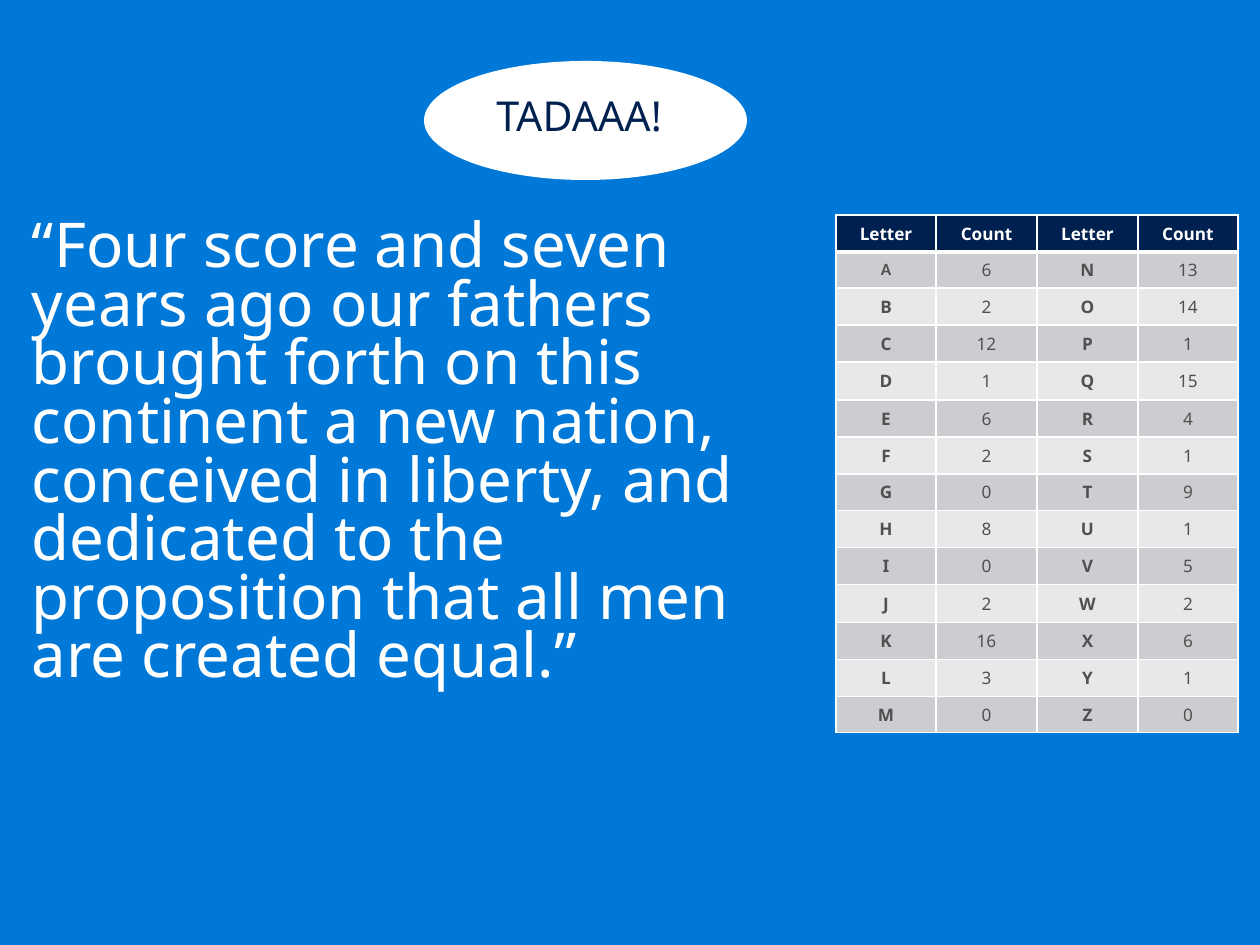
import lxml.etree
import pptx
import pptx.dml.color
import pptx.enum.shapes
import pptx.enum.text
import pptx.oxml.ns
import pptx.util

ALIGN = pptx.enum.text.PP_ALIGN
MID = pptx.enum.text.MSO_ANCHOR.MIDDLE
TOP = pptx.enum.text.MSO_ANCHOR.TOP
WHITE, NAVY, BLUE, GREY = "FFFFFF", "002050", "0078D7", "505050"
BANDS = "CCCDD0", "E7E8E9"


def px(num):
    return pptx.util.Emu(round(num * 10.2 * 914400 / 1260))


def paint(fill, tone):
    fill.solid()
    fill.fore_color.rgb = pptx.dml.color.RGBColor.from_string(tone)


def write(frame, text, size=10, tone=WHITE, font="Noto Sans", bold=False,
          align=ALIGN.LEFT, lead=1.0):
    para = frame.paragraphs[0]
    para.alignment = align
    para.line_spacing = lead
    run = para.add_run()
    run.text = text
    run.font.size = pptx.util.Pt(size)
    run.font.name = font
    run.font.bold = bold
    paint(run.font.fill, tone)


def pad(frame, side, top, low):
    frame.word_wrap = True
    frame.vertical_anchor = TOP
    frame.margin_left = frame.margin_right = px(side)
    frame.margin_top, frame.margin_bottom = px(top), px(low)


def edge(cell, **widths):
    props = cell._tc.get_or_add_tcPr()
    for spot, side in enumerate("LRTB"):
        line = lxml.etree.Element(pptx.oxml.ns.qn("a:ln" + side))
        line.set("w", str(pptx.util.Pt(widths.get(side, 1))))
        fill = lxml.etree.SubElement(line, pptx.oxml.ns.qn("a:solidFill"))
        tone = lxml.etree.SubElement(fill, pptx.oxml.ns.qn("a:srgbClr"))
        tone.set("val", WHITE)
        props.insert(spot, line)


class Deck:
    def __init__(self, wide, high, back):
        self.show = pptx.Presentation()
        self.show.slide_width, self.show.slide_height = px(wide), px(high)
        self.slide = self.show.slides.add_slide(self.show.slide_layouts[6])
        paint(self.slide.background.fill, back)

    def quote(self, box, text, **style):
        frame = self.slide.shapes.add_textbox(*map(px, box)).text_frame
        pad(frame, 20, 16, 12)
        write(frame, text, **style)

    def bubble(self, box, text, **style):
        kind = pptx.enum.shapes.MSO_SHAPE.OVAL
        shape = self.slide.shapes.add_shape(kind, *map(px, box))
        shape.shadow.inherit = False
        paint(shape.fill, WHITE)
        shape.line.fill.background()
        pad(shape.text_frame, 25, 20, 20)
        write(shape.text_frame, text, **style)

    def table(self, xs, ys, rows):
        box = xs[0], ys[0], xs[-1] - xs[0], ys[-1] - ys[0]
        grid = self.slide.shapes.add_table(
            len(rows), len(rows[0]), *map(px, box)).table
        for col, left, right in zip(grid.columns, xs, xs[1:]):
            col.width = px(right - left)
        for row, top, low in zip(grid.rows, ys, ys[1:]):
            row.height = px(low - top)
        for r, row in enumerate(rows):
            for c, text in enumerate(row):
                self.cell(grid.cell(r, c), text, r, c)

    def cell(self, cell, text, r, c):
        cell.margin_top = cell.margin_bottom = 0
        cell.vertical_anchor = MID
        paint(cell.fill, BANDS[(r - 1) % 2] if r else NAVY)
        edge(cell, T=3 if r == 1 else 1, B=1 if r else 3)
        write(cell.text_frame, text, tone=GREY if r else WHITE,
              font="Calibri" if text == "A" else "Noto Sans",
              bold=r == 0 or c % 2 == 0, align=ALIGN.CENTER)


deck = Deck(1260, 945, BLUE)
deck.quote(
    (12, 205, 840, 511),
    "“Four score and seven years ago our fathers brought forth on this "
    "continent a new nation, conceived in liberty, and dedicated to the "
    "proposition that all men are created equal.”",
    size=36, lead=0.79)

names = "ABCDEFGHIJKLMNOPQRSTUVWXYZ"
counts = [6, 2, 12, 1, 6, 2, 0, 8, 0, 2, 16, 3, 0,
          13, 14, 1, 15, 4, 1, 9, 1, 5, 2, 6, 1, 0]
pairs = [(name, str(count)) for name, count in zip(names, counts)]
half = len(pairs) // 2
rows = [("Letter", "Count") * 2]
rows += [left + right for left, right in zip(pairs[:half], pairs[half:])]
xs = [round(836 + 100.5 * i) for i in range(5)]
ys = [215, 252] + [round(288 + 37.18 * i) for i in range(12)] + [733]
deck.table(xs, ys, rows)

deck.bubble((424, 61, 323, 119), "TADAAA!", size=24, tone=NAVY, lead=0.85)
deck.show.save("out.pptx")
